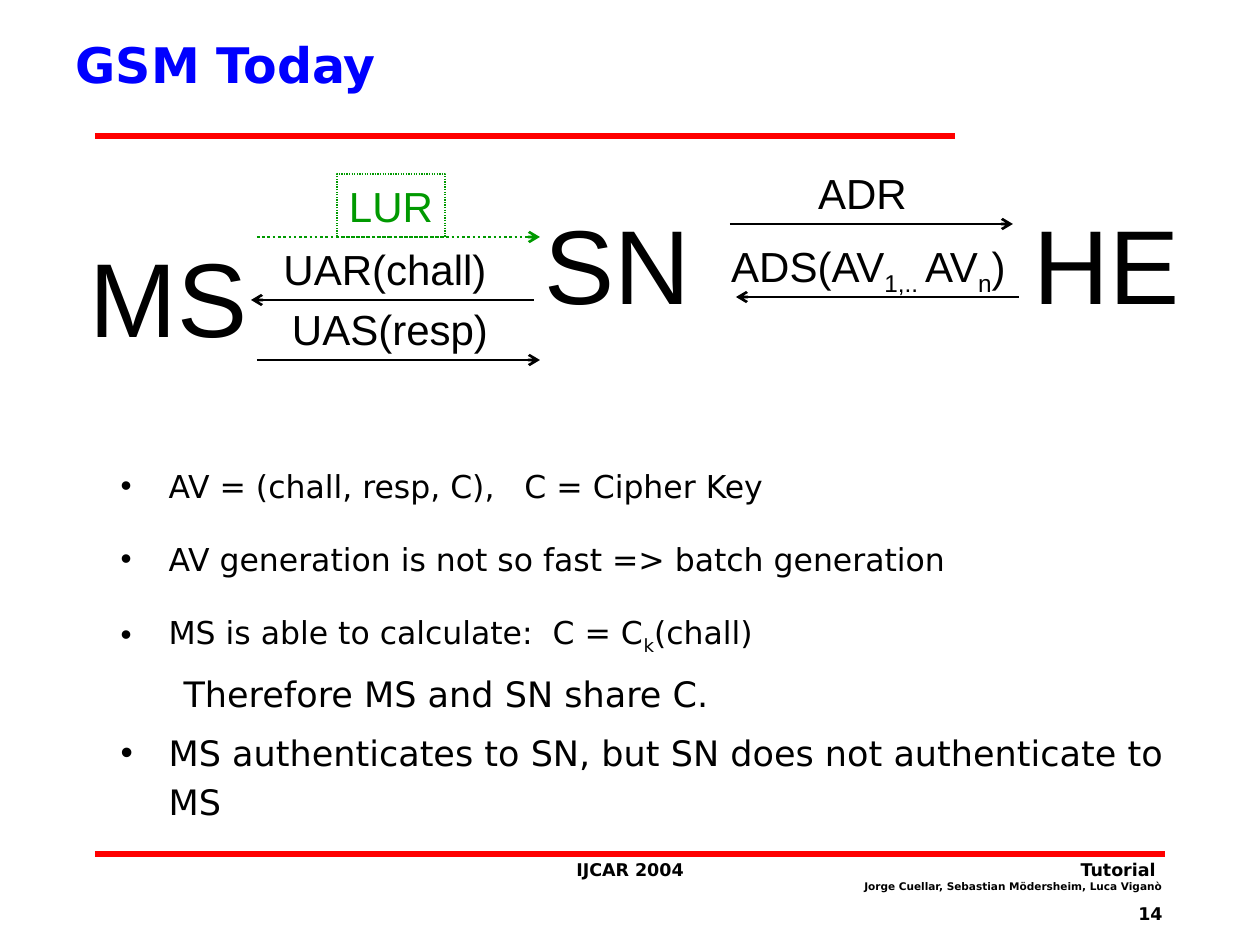
import pptx
import pptx.dml.color
import pptx.enum.dml
import pptx.enum.shapes
import pptx.enum.text
import pptx.oxml.ns
import pptx.util
from lxml import etree

PX = 914400 // 126
BLACK, RED, BLUE, GREEN = "000000", "FF0000", "0000FF", "009900"
ALIGN = pptx.enum.text.PP_ALIGN
ANCHOR = pptx.enum.text.MSO_ANCHOR
AUTO_SIZE = pptx.enum.text.MSO_AUTO_SIZE
DOTTED = pptx.enum.dml.MSO_LINE.ROUND_DOT


def px(*lengths):
    return [length * PX for length in lengths]


def rgb(color):
    return pptx.dml.color.RGBColor.from_string(color)


def add_child(parent, tag, **attributes):
    child = etree.SubElement(parent, pptx.oxml.ns.qn(tag))
    for name, value in attributes.items():
        child.set(name, value)
    return child


def set_bullet(paragraph, bullet, left, hanging):
    properties = paragraph._p.get_or_add_pPr()
    properties.set("marL", str(left * PX))
    properties.set("indent", str(-hanging * PX))
    if bullet:
        color = add_child(properties, "a:buClr")
        add_child(color, "a:srgbClr", val=BLACK)
        add_child(properties, "a:buChar", char=bullet)
    else:
        add_child(properties, "a:buNone")


def write_text(paragraph, *pieces, size, font="DejaVu Sans", color=BLACK,
               bold=False, align=ALIGN.LEFT, line=1.0, before=0, after=0):
    """Write the pieces as runs; every second piece is a subscript."""
    paragraph.alignment = align
    paragraph.line_spacing = line
    paragraph.space_before = pptx.util.Pt(before)
    paragraph.space_after = pptx.util.Pt(after)
    for index, piece in enumerate(pieces):
        run = paragraph.add_run()
        run.text = piece
        run.font.size = pptx.util.Pt(size)
        run.font.name = font
        run.font.bold = bold
        run.font.color.rgb = rgb(color)
        if index % 2:
            run.font._element.set("baseline", "-25000")


class SlideBuilder:
    def __init__(self, presentation):
        self.slide = presentation.slides.add_slide(presentation.slide_layouts[1])
        self.shapes = self.slide.shapes

    def place(self, shape, left, top, width, height):
        shape.left, shape.top, shape.width, shape.height = px(left, top, width, height)

    def title(self, text, *box):
        title = self.shapes.title
        self.place(title, *box)
        title.text_frame.auto_size = AUTO_SIZE.NONE
        title.text_frame.vertical_anchor = ANCHOR.MIDDLE
        write_text(title.text_frame.paragraphs[0], text, size=28, color=BLUE, bold=True)

    def body(self, items, *box):
        """Fill the list from (pieces, bullet, size, before, after) items."""
        body = self.slide.placeholders[1]
        self.place(body, *box)
        frame = body.text_frame
        frame.auto_size = AUTO_SIZE.NONE
        for index, (pieces, bullet, size, before, after) in enumerate(items):
            paragraph = frame.add_paragraph() if index else frame.paragraphs[0]
            if bullet:
                set_bullet(paragraph, bullet, 48, 48)
            else:
                paragraph.level = 1
                set_bullet(paragraph, None, 102, 39)
            write_text(paragraph, *pieces, size=size, line=1.15,
                       before=before, after=after)

    def footer(self, lines, align, *box):
        """Write bold (text, size) lines in one text box."""
        frame = self.shapes.add_textbox(*px(*box)).text_frame
        frame.word_wrap = True
        for index, (text, size) in enumerate(lines):
            paragraph = frame.add_paragraph() if index else frame.paragraphs[0]
            write_text(paragraph, text, size=size, bold=True, align=align)

    def label(self, pieces, size, *box):
        self.fill_label(self.shapes.add_textbox(*px(*box)), pieces, size, BLACK)

    def framed_label(self, text, size, color, *box):
        shape = self.shapes.add_shape(
            pptx.enum.shapes.MSO_SHAPE.RECTANGLE, *px(*box))
        shape.shadow.inherit = False
        shape.fill.background()
        shape.line.color.rgb = rgb(color)
        shape.line.width = pptx.util.Pt(0.75)
        shape.line.dash_style = DOTTED
        self.fill_label(shape, [text], size, color)

    def fill_label(self, shape, pieces, size, color):
        """Centre one unwrapped line, with the full box width free for it."""
        frame = shape.text_frame
        frame.word_wrap = False
        frame.auto_size = AUTO_SIZE.NONE
        frame.margin_left = frame.margin_right = 0
        frame.vertical_anchor = ANCHOR.TOP
        write_text(frame.paragraphs[0], *pieces, size=size, font="Arial",
                   color=color, align=ALIGN.CENTER)

    def horizontal_line(self, start, end, y, color, width):
        line = self.shapes.add_connector(
            pptx.enum.shapes.MSO_CONNECTOR.STRAIGHT, *px(start, y, end, y))
        line.line.color.rgb = rgb(color)
        line.line.width = pptx.util.Pt(width)
        add_child(line._element.spPr, "a:effectLst")
        return line

    def arrow(self, start, end, y, color=BLACK, dash=None):
        arrow = self.horizontal_line(start, end, y, color, 1.5)
        if dash:
            arrow.line.dash_style = dash
        add_child(arrow.line._get_or_add_ln(), "a:tailEnd", type="arrow")


def main():
    presentation = pptx.Presentation()
    presentation.slide_width, presentation.slide_height = px(1260, 945)
    builder = SlideBuilder(presentation)

    builder.horizontal_line(95, 955, 136, RED, 3)
    builder.horizontal_line(95, 1165, 854, RED, 3)
    builder.footer([("14", 10)], ALIGN.RIGHT, 1074, 897, 101, 32)
    builder.footer([("IJCAR 2004", 10)], ALIGN.CENTER, 499, 853, 262, 63)
    builder.footer([("Tutorial ", 10),
                    ("Jorge Cuellar, Sebastian Mödersheim, Luca Viganò", 6)],
                   ALIGN.RIGHT, 761, 853, 413, 63)

    builder.title("GSM Today", 63, 0, 843, 127)
    builder.body([
        (["AV = (chall, resp, C),   C = Cipher Key"], "•", 18, 0, 5.6),
        (["AV generation is not so fast => batch generation"], "•", 18, 11.2, 5.6),
        (["MS is able to calculate:  C = C", "k", "(chall)"], "•", 18, 11.2, 5.6),
        (["Therefore MS and SN share C."], None, 20, 0, 6.2),
        (["MS authenticates to SN, but SN does not authenticate to MS"],
         "•", 20, 0, 6.2),
    ], 108, 455, 1074, 365)

    for party, left, top, width in [("MS", 77, 226, 183), ("SN", 532, 193, 171),
                                    ("HE", 1021, 193, 171)]:
        builder.label([party], 60, left, top, width, 139)

    for pieces, left, top, width, height in [
        (["ADR"], 806, 161, 113, 63),
        (["ADS(AV", "1,.. ", "AV", "n", ")"], 716, 234, 305, 71),
        (["UAR(chall)"], 271, 237, 228, 63),
        (["UAS(resp)"], 280, 297, 220, 63),
    ]:
        builder.label(pieces, 24, left, top, width, height)

    for start, end, y in [(730, 1013, 224), (1019, 736, 297),
                          (534, 251, 300), (257, 540, 360)]:
        builder.arrow(start, end, y)

    builder.arrow(257, 540, 237, GREEN, DOTTED)
    builder.framed_label("LUR", 24, GREEN, 337, 174, 108, 63)

    presentation.save("out.pptx")


if __name__ == "__main__":
    main()
